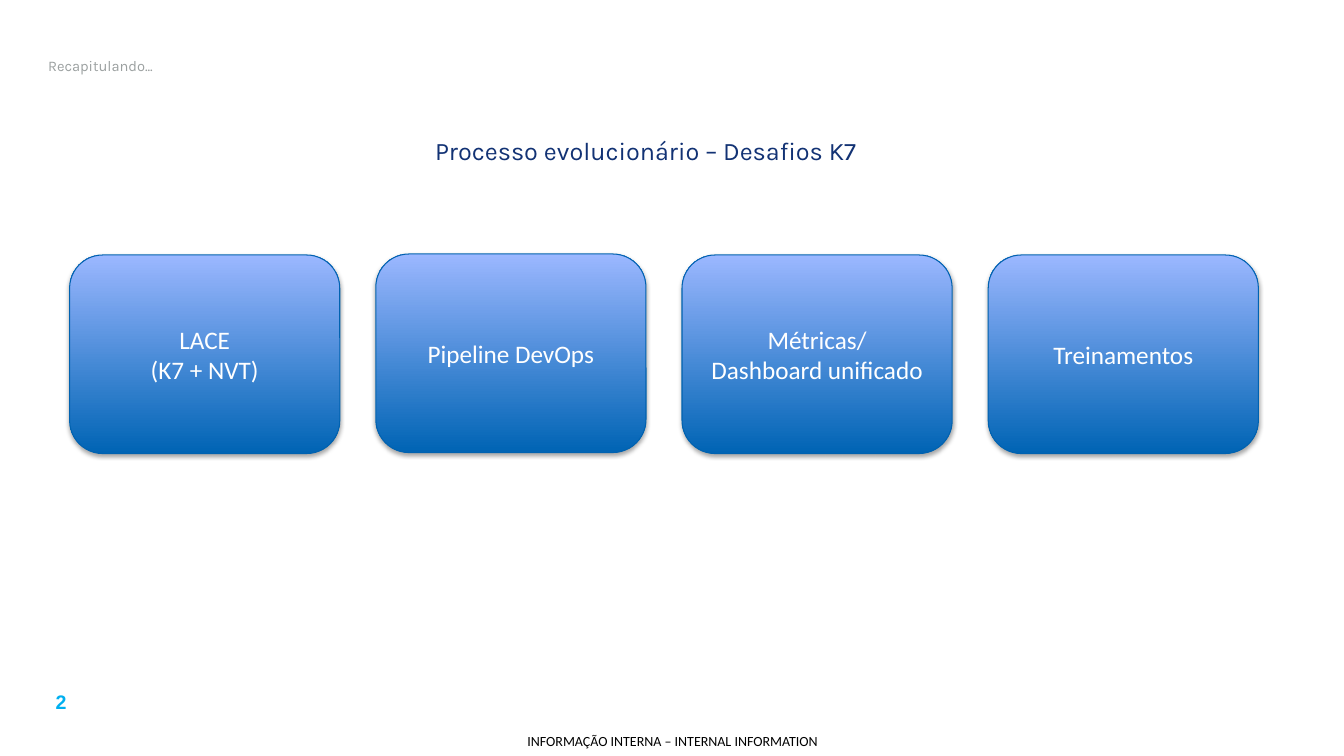
"""Build the recap slide with the four challenges of the evolutionary process."""
from dataclasses import dataclass

from lxml import etree
from pptx import Presentation
from pptx import util as u
from pptx.dml.color import RGBColor
from pptx.enum import shapes, text
from pptx.oxml import ns

NAVY = RGBColor(0x12, 0x32, 0x74)
GRAY = RGBColor(0x9B, 0xA0, 0xA0)
CYAN = RGBColor(0x00, 0xB0, 0xF0)
BLACK = RGBColor(0x00, 0x00, 0x00)
WHITE = RGBColor(0xFF, 0xFF, 0xFF)
DEEP_BLUE = RGBColor(0x00, 0x64, 0xB4)
PALE_BLUE = RGBColor(0x9B, 0xB7, 0xFF)
BORDER_BLUE = RGBColor(0x00, 0x62, 0xB0)

CENTER = text.PP_ALIGN.CENTER
LEFT = text.PP_ALIGN.LEFT
TOP = text.MSO_ANCHOR.TOP
MIDDLE = text.MSO_ANCHOR.MIDDLE

CARD_LEFT, CARD_PITCH = 0.69, 3.037
CARD_WIDTH, CARD_HEIGHT = 2.68, 1.97


@dataclass(frozen=True)
class Label:
    """A line of text with its place and look."""
    wording: str
    box: tuple[float, float, float, float]
    size: float
    font: str
    color: RGBColor
    bold: bool = False
    align: text.PP_ALIGN = CENTER
    anchor: text.MSO_ANCHOR = MIDDLE
    inset: tuple[float, float] = (0.1, 0.05)


@dataclass(frozen=True)
class Challenge:
    """One challenge card and its top edge."""
    wording: str
    top: float = 2.53


LABELS = [
    Label("2", (0.21, 6.8, 0.79, 0.34), 14, "Arial", CYAN, bold=True, anchor=TOP),
    Label("INFORMAÇÃO INTERNA – INTERNAL INFORMATION", (5.03, 7.21, 3.28, 0.29),
          10, "Calibri", BLACK, inset=(0, 0)),
    Label("Processo evolucionário – Desafios K7", (0.37, 1.15, 12.07, 0.69),
          18, "Karla", NAVY),
    Label("Recapitulando...", (0.38, 0.41, 11.88, 0.48), 10.5, "Karla", GRAY, align=LEFT),
]
CHALLENGES = [
    Challenge("LACE\v(K7 + NVT)"),
    Challenge("Pipeline DevOps", top=2.52),
    Challenge("Métricas/\nDashboard unificado"),
    Challenge("Treinamentos"),
]


def apply_format(target: object, values: dict[str, object]) -> None:
    """Set each named attribute on the target."""
    for attribute, value in values.items():
        setattr(target, attribute, value)


def write_text(frame, label: Label) -> None:
    """Fill a text frame with the label's wording and format."""
    across, down = map(u.Inches, label.inset)
    frame.text = label.wording
    apply_format(frame, {
        "word_wrap": True, "vertical_anchor": label.anchor,
        "margin_left": across, "margin_right": across,
        "margin_top": down, "margin_bottom": down,
    })
    for paragraph in frame.paragraphs:
        paragraph.alignment = label.align
        for run in paragraph.runs:
            apply_format(run.font, {
                "name": label.font, "size": u.Pt(label.size), "bold": label.bold,
            })
            run.font.color.rgb = label.color


def add_label(slide, label: Label) -> None:
    """Place a label in a text box."""
    box = slide.shapes.add_textbox(*map(u.Inches, label.box))
    write_text(box.text_frame, label)


def add_soft_shadow(card) -> None:
    """Give the card a faint shadow below it."""
    card.shadow.inherit = False
    effects = card._element.spPr.find(ns.qn("a:effectLst"))
    shadow = etree.SubElement(effects, ns.qn("a:outerShdw"), blurRad="40000",
                              dist="23000", dir="5400000", rotWithShape="0")
    tint = etree.SubElement(shadow, ns.qn("a:srgbClr"), val=str(BLACK))
    etree.SubElement(tint, ns.qn("a:alpha"), val="35000")


def add_card(slide, position: int, challenge: Challenge) -> None:
    """Draw a challenge as a rounded gradient card."""
    box = (CARD_LEFT + position * CARD_PITCH, challenge.top, CARD_WIDTH, CARD_HEIGHT)
    card = slide.shapes.add_shape(shapes.MSO_SHAPE.ROUNDED_RECTANGLE, *map(u.Inches, box))
    card.fill.gradient()
    card.fill.gradient_angle = 90
    for stop, color in zip(card.fill.gradient_stops, (DEEP_BLUE, PALE_BLUE)):
        stop.color.rgb = color
    card.line.color.rgb = BORDER_BLUE
    card.line.width = u.Pt(0.75)
    add_soft_shadow(card)
    write_text(card.text_frame, Label(challenge.wording, box, 18, "Calibri", WHITE))


def main() -> None:
    """Build and save the slide."""
    deck = Presentation()
    apply_format(deck, {"slide_width": u.Inches(13.33), "slide_height": u.Inches(7.5)})
    slide = deck.slides.add_slide(deck.slide_layouts[6])
    for label in LABELS:
        add_label(slide, label)
    for position, challenge in enumerate(CHALLENGES):
        add_card(slide, position, challenge)
    deck.save("out.pptx")


if __name__ == "__main__":
    main()
